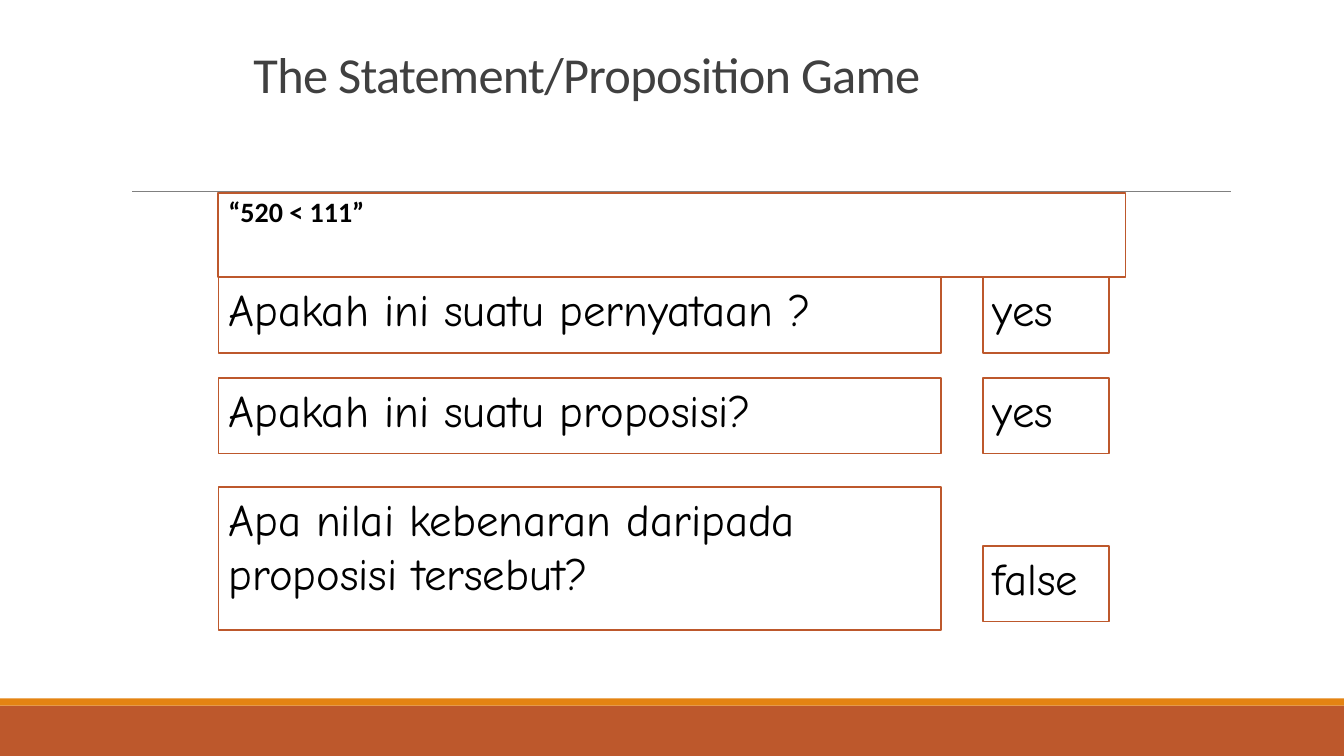
from pptx import Presentation
from pptx import util as u
from pptx.dml.color import RGBColor
from pptx.enum import shapes, text
from pptx.oxml.ns import qn
from lxml import etree

PX = 9525
RUST, ORANGE, WHITE, BLACK = "BD582C", "E48312", "FFFFFF", "000000"

TITLE = "The Statement/Proposition Game"
STATEMENT = "“520 < 111”"
QUESTIONS = [
    ("Apakah ini suatu pernyataan ?", 264, 72, "yes", 264),
    ("Apakah ini suatu proposisi?", 360, 72, "yes", 360),
    ("Apa nilai kebenaran daripada proposisi tersebut?", 464, 136, "false", 520),
]
QUESTION_LEFT, QUESTION_WIDTH = 208, 688
ANSWER_LEFT, ANSWER_WIDTH, ANSWER_HEIGHT = 936, 120, 72
BANDS = [(672, 48, RUST), (665, 7, ORANGE)]


def px(*lengths):
    return [u.Emu(length * PX) for length in lengths]


def color(value):
    return RGBColor.from_string(value)


def add_box(page, place, fill, outline=None):
    box = page.shapes.add_shape(shapes.MSO_SHAPE.RECTANGLE, *px(*place))
    box.shadow.inherit = False
    box.fill.solid()
    box.fill.fore_color.rgb = color(fill)
    if outline:
        box.line.color.rgb = color(outline)
        box.line.width = u.Pt(1.25)
    else:
        box.line.fill.background()
    return box


def write(box, words, size, font, ink=BLACK, bold=False, spacing=1.0,
          anchor=text.MSO_ANCHOR.TOP):
    frame = box.text_frame
    frame.word_wrap = True
    frame.vertical_anchor = anchor
    frame.text = words
    para = frame.paragraphs[0]
    para.alignment = text.PP_ALIGN.LEFT
    para.line_spacing = spacing
    span = para.runs[0]
    span.font.size = u.Pt(size)
    span.font.name = font
    span.font.bold = bold
    span.font.color.rgb = color(ink)
    return span


def add_rule(page):
    rule = page.shapes.add_connector(
        shapes.MSO_CONNECTOR.STRAIGHT, *px(126, 182, 1172, 182))
    rule.line.color.rgb = color("808080")
    rule.line.width = u.Pt(0.5)
    etree.SubElement(rule._element.spPr, qn("a:effectLst"))


def main():
    deck = Presentation()
    deck.slide_width, deck.slide_height = px(1280, 720)
    page = deck.slides.add_slide(deck.slide_layouts[6])

    for top, height, fill in BANDS:
        add_box(page, (0, top, 1280, height), fill)
    add_rule(page)

    title = page.shapes.add_textbox(*px(232, 32, 816, 72))
    span = write(title, TITLE, 36, "Calibri", "404040", spacing=0.85,
                 anchor=text.MSO_ANCHOR.BOTTOM)
    span.font._element.set("spc", "-50")

    statement = add_box(page, (QUESTION_LEFT, 184, 864, 80), WHITE, RUST)
    write(statement, STATEMENT, 20, "Calibri", bold=True, spacing=0.9)

    for question, top, height, answer, answer_top in QUESTIONS:
        cells = [
            (question, (QUESTION_LEFT, top, QUESTION_WIDTH, height)),
            (answer, (ANSWER_LEFT, answer_top, ANSWER_WIDTH, ANSWER_HEIGHT)),
        ]
        for words, place in cells:
            write(add_box(page, place, WHITE, RUST), words, 32, "Comic Neue")

    deck.save("out.pptx")


if __name__ == "__main__":
    main()
